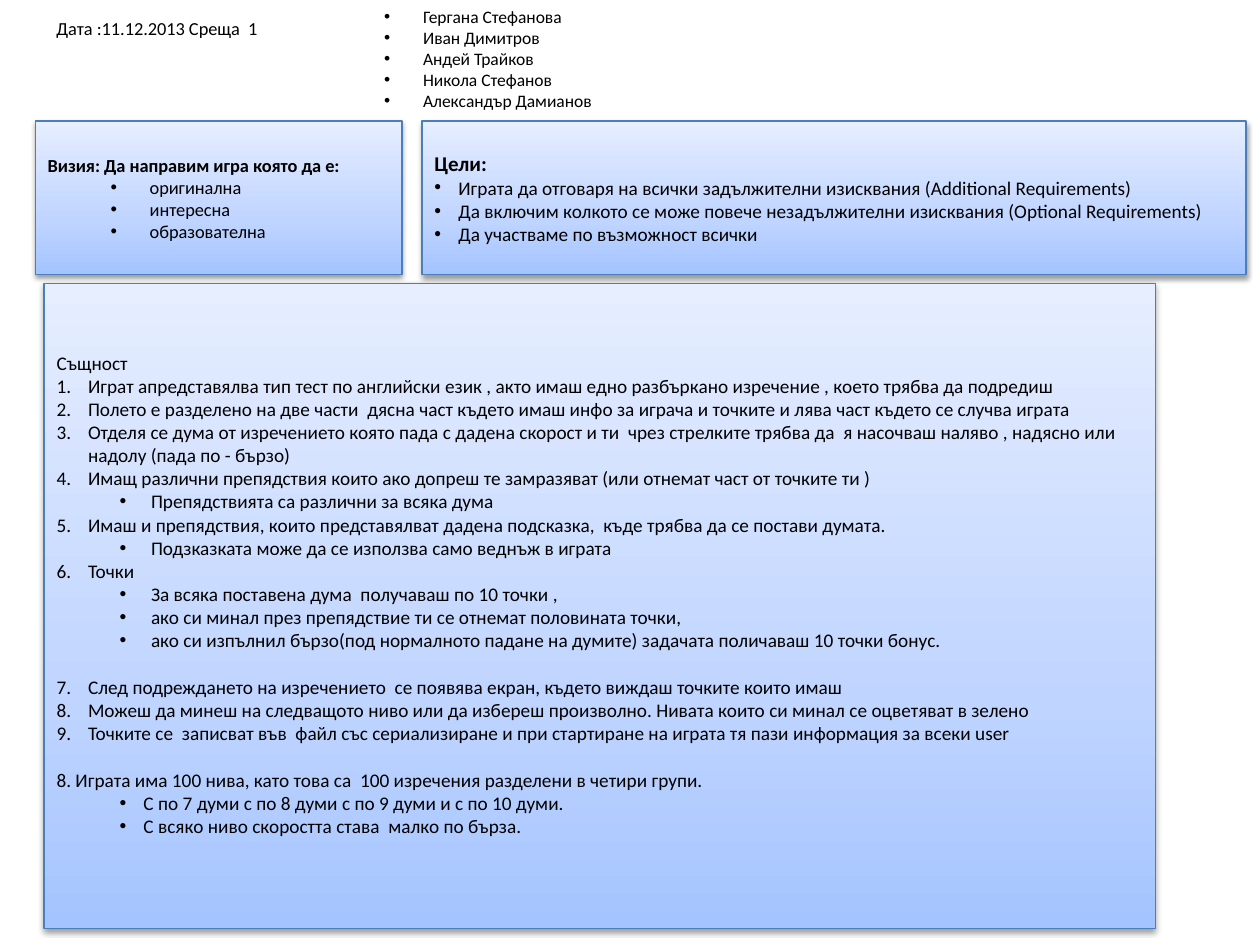
"""Build the meeting slide with vision, goals and game rules."""
from dataclasses import dataclass

from lxml.etree import SubElement
from pptx import Presentation
from pptx.dml.color import RGBColor
from pptx.enum.shapes import MSO_SHAPE
from pptx.enum.text import MSO_ANCHOR, MSO_AUTO_SIZE, PP_ALIGN
from pptx.oxml.ns import qn
from pptx.util import Inches, Pt

HUES = {"text": "000000", "line": "4B7EBC", "low": "A4C4FF",
        "mid": "BFD4FF", "high": "E6EEFF", "shade": "000000"}
STOPS = {"low": 0, "mid": 35, "high": 100}
FONT = "Calibri"


@dataclass(frozen=True)
class Style:
    size: float
    mark: str = ""
    left: float = 0
    hang: float = 0
    level: int = 0
    bold: bool = False


@dataclass(frozen=True)
class Line:
    text: str
    style: Style
    gap: float = 0


@dataclass(frozen=True)
class Block:
    left: float
    top: float
    width: float
    height: float
    lines: list[Line]
    panel: bool = True
    foot: float = 0.05


def rows(style: Style, *texts: str, gap: float = 0) -> list[Line]:
    """Give lines of one style, with a gap above the first."""
    return [Line(text, style, 0 if i else gap) for i, text in enumerate(texts)]


def paint(shape) -> None:
    """Give a panel its gradient, outline and shadow."""
    shape.fill.gradient()
    shape.fill.gradient_angle = 90
    props = shape.fill._xPr
    stops = props.find(qn("a:gradFill")).find(qn("a:gsLst"))
    for old in list(stops):
        stops.remove(old)
    for name, place in STOPS.items():
        stop = SubElement(stops, qn("a:gs"), pos=str(place * 1000))
        SubElement(stop, qn("a:srgbClr"), val=HUES[name])
    shape.line.color.rgb = RGBColor.from_string(HUES["line"])
    shape.line.width = Pt(0.75)
    shape.shadow.inherit = False
    shade = SubElement(props.find(qn("a:effectLst")), qn("a:outerShdw"),
                       blurRad=str(Pt(3.1)), dist=str(Pt(1.6)),
                       dir="5400000", rotWithShape="0")
    hue = SubElement(shade, qn("a:srgbClr"), val=HUES["shade"])
    SubElement(hue, qn("a:alpha"), val="38000")


def write(para, line: Line) -> None:
    """Fill one paragraph with its text and list mark."""
    style = line.style
    para.alignment = PP_ALIGN.LEFT
    para.level = style.level
    if line.gap:
        para.space_before = Pt(line.gap)
    props = para._p.get_or_add_pPr()
    props.set("marL", str(Inches(style.left)))
    props.set("indent", str(Inches(-style.hang)))
    if style.mark == "1.":
        SubElement(props, qn("a:buFont"), typeface="+mj-lt")
        SubElement(props, qn("a:buAutoNum"), type="arabicPeriod")
    elif style.mark:
        SubElement(props, qn("a:buFont"), typeface="Arial")
        SubElement(props, qn("a:buChar"), char=style.mark)
    run = para.add_run()
    run.text = line.text
    run.font.name = FONT
    run.font.size = Pt(style.size)
    run.font.bold = style.bold
    run.font.color.rgb = RGBColor.from_string(HUES["text"])


def draw(slide, block: Block, wide: int, high: int) -> None:
    """Draw a block placed in percent of the slide."""
    box = [int(share * full / 100) for share, full in (
        (block.left, wide), (block.top, high),
        (block.width, wide), (block.height, high))]
    if block.panel:
        shape = slide.shapes.add_shape(MSO_SHAPE.RECTANGLE, *box)
        paint(shape)
    else:
        shape = slide.shapes.add_textbox(*box)
    frame = shape.text_frame
    frame.word_wrap = True
    frame.margin_bottom = Inches(block.foot)
    if block.panel:
        frame.vertical_anchor = MSO_ANCHOR.MIDDLE
    else:
        frame.auto_size = MSO_AUTO_SIZE.SHAPE_TO_FIT_TEXT
    for i, line in enumerate(block.lines):
        write(frame.add_paragraph() if i else frame.paragraphs[0], line)


NAME = Style(10, "•", 0.31, 0.31)
DATE = Style(10.5)
HEAD = Style(10.5, bold=True)
TRAIT = Style(10.5, "•", 0.81, 0.31, 1)
AIMS = Style(12, bold=True)
AIM = Style(11, "•", 0.19, 0.19)
PLAIN = Style(11)
STEP = Style(11, "1.", 0.25, 0.25)
SUB = Style(11, "•", 0.75, 0.25, 1)
LAST = Style(11, "•", 0.69, 0.19, 1)
SKIP = 13.4

VISION = rows(HEAD, "Визия: Да направим игра която да е:") + rows(
    TRAIT, "оригинална ", "интересна", "образователна")
GOALS = rows(AIMS, "Цели: ") + rows(
    AIM,
    "Играта да отговаря на всички задължителни изисквания (Additional Requirements)",
    "Да включим колкото се може повече незадължителни изисквания (Optional Requirements)",
    "Да участваме по възможност всички")
RULES = [
    *rows(PLAIN, "Същност"),
    *rows(STEP,
          "Играт апредставялва тип тест по английски език , акто имаш едно "
          "разбъркано изречение , което трябва да подредиш ",
          "Полето е разделено на две части  дясна част където имаш инфо за "
          "играча и точките и лява част където се случва играта",
          "Отделя се дума от изречението която пада с дадена скорост и ти  "
          "чрез стрелките трябва да  я насочваш наляво , надясно или надолу "
          "(пада по - бързо)",
          "Имащ различни препядствия които ако допреш те замразяват "
          "(или отнемат част от точките ти )"),
    *rows(SUB, "Препядствията са различни за всяка дума"),
    *rows(STEP, "Имаш и препядствия, които представялват дадена подсказка,  "
          "къде трябва да се постави думата. "),
    *rows(SUB, "Подзказката може да се използва само веднъж в играта"),
    *rows(STEP, "Точки"),
    *rows(SUB, "За всяка поставена дума  получаваш по 10 точки , ",
          "ако си минал през препядствие ти се отнемат половината точки,",
          "ако си изпълнил бързо(под нормалното падане на думите) задачата "
          "поличаваш 10 точки бонус."),
    *rows(STEP,
          "След подреждането на изречението  се появява екран, където виждаш "
          "точките които имаш",
          "Можеш да минеш на следващото ниво или да избереш произволно. "
          "Нивата които си минал се оцветяват в зелено",
          "Точките се  записват във  файл със сериализиране и при стартиране "
          "на играта тя пази информация за всеки user", gap=SKIP),
    *rows(PLAIN, "8. Играта има 100 нива, като това са  100 изречения "
          "разделени в четири групи.  ", gap=SKIP),
    *rows(LAST, "С по 7 думи с по 8 думи с по 9 думи и с по 10 думи.",
          "С всяко ниво скоростта става  малко по бърза."),
]
TEAM = rows(NAME, "Гергана Стефанова", "Иван Димитров", "Андей Трайков",
            "Никола Стефанов", "Александър Дамианов ")

BLOCKS = [
    Block(3.5, 1.2, 24.4, 3.73, rows(DATE, "Дата :11.12.2013 Среща  1"), False),
    Block(2.8, 12.8, 29.1, 16.27, VISION),
    Block(33.5, 12.8, 65.4, 16.27, GOALS),
    Block(3.5, 30, 88.2, 68.27, RULES, foot=0.24),
    Block(29.5, 0, 50, 14.8, TEAM, False),
]


def main() -> None:
    """Build and save the slide."""
    deck = Presentation()
    deck.slide_width, deck.slide_height = Inches(10), Inches(7.5)
    slide = deck.slides.add_slide(deck.slide_layouts[6])
    for block in BLOCKS:
        draw(slide, block, deck.slide_width, deck.slide_height)
    deck.save("out.pptx")


main()
